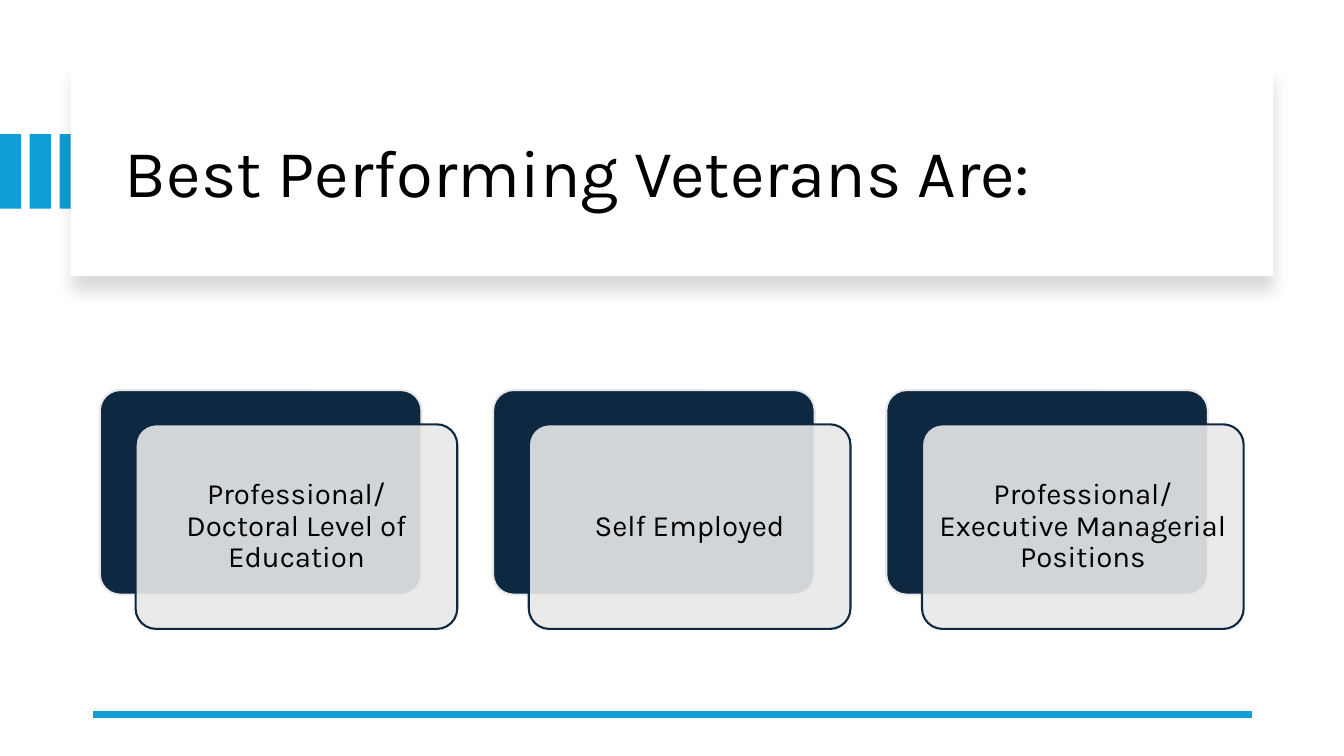
import dataclasses
import typing

import lxml.etree
import pptx
import pptx.dml.color
import pptx.enum.shapes
import pptx.enum.text
import pptx.oxml.ns
import pptx.util

Inches = pptx.util.Inches
Shapes = pptx.enum.shapes.MSO_SHAPE
Align = pptx.enum.text.PP_ALIGN

FONT = "Karla"
BLUE = "0F9ED5"
NAVY = "0E2841"
GREY = "E8E8E8"
WHITE = "FFFFFF"
BLACK = "000000"


@dataclasses.dataclass(frozen=True)
class Area:
    left: float
    top: float
    width: float
    height: float

    def shifted(self, across: float, down: float = 0) -> "Area":
        return Area(self.left + across, self.top + down, self.width, self.height)

    def inset(self, margin: float) -> "Area":
        return Area(self.left + margin, self.top + margin,
                    self.width - 2 * margin, self.height - 2 * margin)

    def lengths(self) -> list[int]:
        return [Inches(value) for value in dataclasses.astuple(self)]


@dataclasses.dataclass(frozen=True)
class Outline:
    color: str
    points: float


STRIPE = Area(0, 1.33, 0.21, 0.74)
STRIPE_PITCH = 0.295
TITLE_PANEL = Area(0.7, 0.67, 11.93, 2.07)
TITLE_TEXT = Area(1.14, 0.89, 11.13, 1.7)
CARD = Area(0.99, 3.87, 3.19, 2.03)
CARD_PITCH = 3.9
CARD_OFFSET = (0.355, 0.34)
VETERAN_GROUPS = [
    "Professional/Doctoral Level of Education",
    "Self Employed",
    "Professional/Executive Managerial Positions",
]


def rgb(color: str) -> pptx.dml.color.RGBColor:
    return pptx.dml.color.RGBColor.from_string(color)


def add_child(parent: typing.Any, tag: str, **attributes: str) -> typing.Any:
    return lxml.etree.SubElement(parent, pptx.oxml.ns.qn(tag), attributes)


def add_panel(page: typing.Any, area: Area, fill: str,
              outline: typing.Optional[Outline] = None, rounded: bool = False) -> typing.Any:
    kind = Shapes.ROUNDED_RECTANGLE if rounded else Shapes.RECTANGLE
    panel = page.shapes.add_shape(kind, *area.lengths())
    if rounded:
        panel.adjustments[0] = 0.1
    panel.fill.solid()
    panel.fill.fore_color.rgb = rgb(fill)
    if outline:
        panel.line.color.rgb = rgb(outline.color)
        panel.line.width = pptx.util.Pt(outline.points)
    else:
        panel.line.fill.background()
    panel.shadow.inherit = False
    return panel


def set_opacity(panel: typing.Any, percent: int) -> None:
    color = panel.element.spPr.find(
        f"{pptx.oxml.ns.qn('a:solidFill')}/{pptx.oxml.ns.qn('a:srgbClr')}")
    add_child(color, "a:alpha", val=str(percent * 1000))


def cast_shadow(panel: typing.Any, opacity: int, blur: float, distance: float) -> None:
    effects = panel.element.spPr.find(pptx.oxml.ns.qn("a:effectLst"))
    shadow = add_child(effects, "a:outerShdw", blurRad=str(pptx.util.Pt(blur)),
                       dist=str(pptx.util.Pt(distance)), dir="5400000",
                       algn="t", rotWithShape="0")
    color = add_child(shadow, "a:srgbClr", val=BLACK)
    add_child(color, "a:alpha", val=str(opacity * 1000))


def add_text(page: typing.Any, area: Area, text: str, size: float,
             align: typing.Any, side_margin: float) -> None:
    box = page.shapes.add_textbox(*area.lengths())
    frame = box.text_frame
    frame.word_wrap = True
    frame.vertical_anchor = pptx.enum.text.MSO_ANCHOR.MIDDLE
    frame.margin_left = frame.margin_right = Inches(side_margin)
    para = frame.paragraphs[0]
    para.text = text
    para.alignment = align
    para.line_spacing = 0.9
    para.font.name = FONT
    para.font.size = pptx.util.Pt(size)
    para.font.color.rgb = rgb(BLACK)


def add_rule(page: typing.Any, left: float, right: float, top: float) -> None:
    rule = page.shapes.add_connector(
        pptx.enum.shapes.MSO_CONNECTOR.STRAIGHT,
        Inches(right), Inches(top), Inches(left), Inches(top))
    rule.line.color.rgb = rgb(BLUE)
    rule.line.width = pptx.util.Pt(4.5)
    add_child(rule._element.spPr, "a:effectLst")


def add_card(page: typing.Any, back: Area, label: str) -> None:
    front = back.shifted(*CARD_OFFSET)
    add_panel(page, back, NAVY, Outline(GREY, 1.5), rounded=True)
    overlay = add_panel(page, front, GREY, Outline(NAVY, 1.5), rounded=True)
    set_opacity(overlay, 90)
    add_text(page, front.inset(0.06), label, 21, Align.CENTER, 0.09)


def main() -> None:
    deck = pptx.Presentation()
    deck.slide_width = Inches(13.33)
    deck.slide_height = Inches(7.5)
    page = deck.slides.add_slide(deck.slide_layouts[6])

    for index in range(3):
        add_panel(page, STRIPE.shifted(index * STRIPE_PITCH), BLUE)
    title_panel = add_panel(page, TITLE_PANEL, WHITE)
    cast_shadow(title_panel, opacity=15, blur=11, distance=10)
    add_text(page, TITLE_TEXT, "Best Performing Veterans Are:", 48, Align.LEFT, 0.1)
    add_rule(page, 0.92, 12.42, 7.09)
    for index, label in enumerate(VETERAN_GROUPS):
        add_card(page, CARD.shifted(index * CARD_PITCH), label)

    deck.save("out.pptx")


if __name__ == "__main__":
    main()
